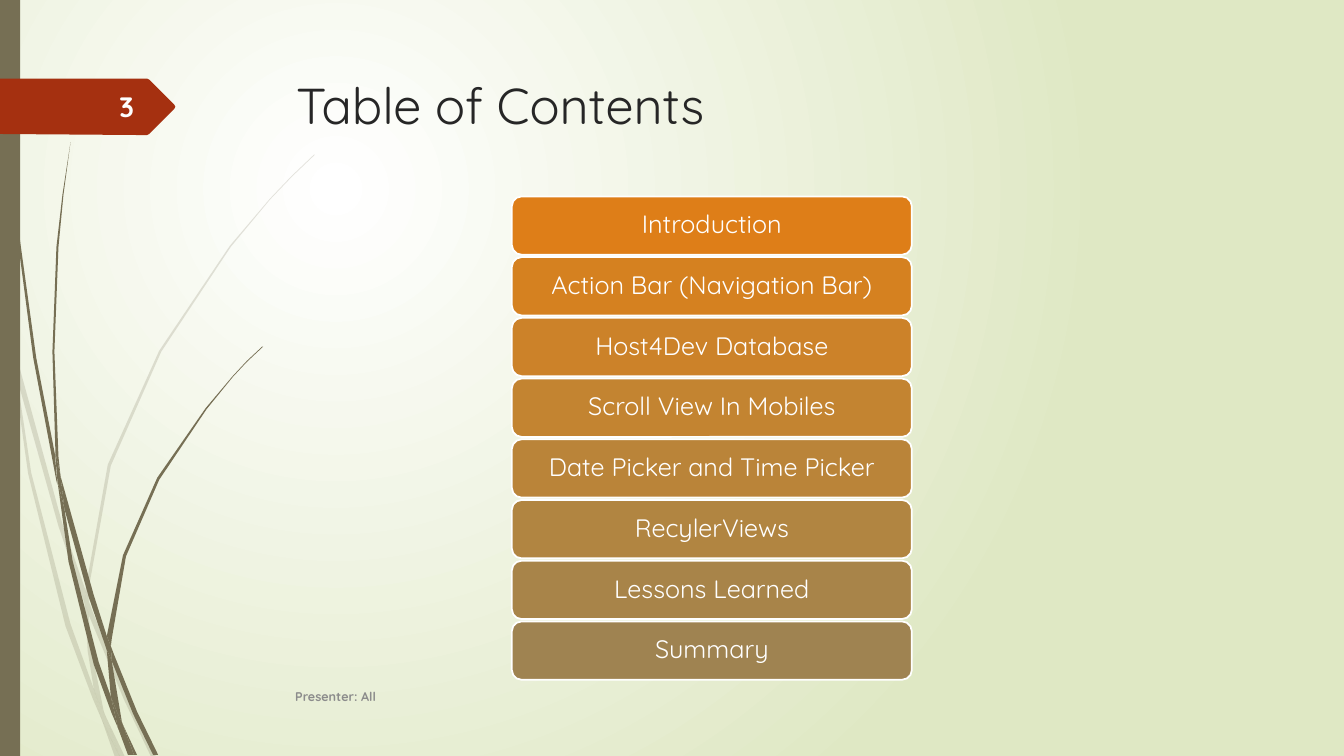
from dataclasses import dataclass

from lxml.etree import SubElement
from pptx import Presentation
from pptx.dml.color import RGBColor
from pptx.enum.shapes import MSO_SHAPE as Shape
from pptx.enum.text import MSO_ANCHOR as Anchor, MSO_AUTO_SIZE as AutoSize, PP_ALIGN as Align
from pptx.oxml.ns import qn
from pptx.util import Cm, Pt

FONT = "Quicksand"
WHITE = RGBColor(0xFF, 0xFF, 0xFF)
PALE_GREEN = RGBColor(0xDF, 0xE8, 0xC4)
OLIVE = RGBColor(0x76, 0x6F, 0x54)
RED = RGBColor(0xA5, 0x30, 0x10)
INK = RGBColor(0x26, 0x26, 0x26)
GREY = RGBColor(0x8C, 0x8C, 0x8C)
NUMBER_WHITE = RGBColor(0xFE, 0xFF, 0xFF)

OUTLINE_UNIT = Cm(0.0254)  # outline points are hundredths of an inch
MENU_LEFT, MENU_TOP, MENU_STEP = 12.9, 4.95, 1.53
ITEM_WIDTH, ITEM_HEIGHT = 10.08, 1.47

Outline = list[tuple[int, int]]


@dataclass
class Grass:
    opacity: int
    blades: list[Outline]


@dataclass
class MenuItem:
    label: str
    color: RGBColor


@dataclass
class Caption:
    text: str
    left: float
    top: float
    width: float
    size: int
    color: RGBColor
    align: Align


PALE_GRASS = Grass(20, [
    [(11, 350), (9, 322), (0, 282), (0, 299), (10, 344)],
    [(58, 522), (84, 599), (85, 586), (62, 520), (14, 345), (17, 376)],
    [(92, 607), (88, 596), (88, 610), (123, 694), (150, 751), (155, 751), (127, 692)],
    [(119, 751), (124, 751), (105, 711)],
    [(93, 683), (70, 619), (31, 469), (17, 376), (11, 350), (28, 470), (65, 621),
     (92, 693), (101, 714), (99, 707)],
    [(84, 599), (87, 646), (93, 683), (96, 692), (105, 711), (103, 706), (91, 646),
     (88, 610), (88, 608)],
    [(88, 584), (110, 462), (160, 349), (229, 245), (268, 198), (290, 175), (312, 154),
     (312, 153), (289, 175), (268, 197), (228, 244), (158, 348), (107, 461), (85, 584),
     (85, 586), (88, 596)],
    [(101, 714), (114, 751), (119, 751)],
    [(88, 608), (88, 610), (88, 596), (85, 586), (84, 599)],
    [(96, 692), (93, 683), (99, 707), (101, 714), (119, 751), (105, 711)],
])

DARK_GRASS = Grass(100, [
    [(7, 110), (17, 233), (33, 355), (56, 477), (57, 481), (55, 457), (55, 453), (36, 355),
     (19, 232), (8, 109), (5, 48), (4, 0), (3, 0), (4, 48)],
    [(88, 592), (106, 645), (106, 633), (106, 631), (93, 590), (60, 472), (64, 505)],
    [(113, 649), (110, 641), (111, 656), (132, 708), (152, 749), (157, 749), (136, 706)],
    [(110, 691), (98, 657), (72, 556), (64, 505), (57, 477), (68, 557), (93, 659),
     (111, 708), (117, 722), (116, 717)],
    [(60, 472), (58, 453), (54, 349), (58, 245), (63, 193), (70, 141), (62, 193), (56, 245),
     (52, 349), (55, 449)],
    [(133, 749), (136, 749), (122, 719)],
    [(57, 477), (64, 505), (60, 472), (55, 449), (55, 453)],
    [(111, 633), (125, 552), (158, 476), (205, 406), (231, 374), (245, 359), (261, 344),
     (260, 344), (245, 358), (231, 373), (204, 405), (156, 474), (122, 551), (106, 631),
     (110, 641)],
    [(117, 722), (127, 749), (131, 749)],
    [(106, 645), (110, 691), (116, 706), (122, 719), (121, 716), (111, 656), (109, 651)],
    [(106, 645), (109, 651), (111, 656), (110, 641), (106, 631), (106, 633)],
    [(116, 706), (110, 691), (116, 717), (117, 722), (130, 749), (133, 749), (122, 719)],
])

NUMBER_TAG: Outline = [(173, 108), (148, 133), (146, 134), (136, 134), (0, 133), (0, 78),
                       (146, 78), (148, 79), (173, 104), (174, 106)]

MENU = [
    MenuItem("Introduction", RGBColor(0xDE, 0x7E, 0x18)),
    MenuItem("Action Bar (Navigation Bar)", RGBColor(0xD5, 0x81, 0x20)),
    MenuItem("Host4Dev Database", RGBColor(0xCC, 0x82, 0x29)),
    MenuItem("Scroll View In Mobiles", RGBColor(0xC3, 0x84, 0x31)),
    MenuItem("Date Picker and Time Picker", RGBColor(0xBA, 0x84, 0x39)),
    MenuItem("RecylerViews", RGBColor(0xB1, 0x85, 0x41)),
    MenuItem("Lessons Learned", RGBColor(0xA8, 0x84, 0x49)),
    MenuItem("Summary", RGBColor(0x9F, 0x83, 0x51)),
]

CAPTIONS = [
    Caption("Presenter: All", 7.19, 17.04, 21.16, 9, GREY, Align.LEFT),
    Caption("3", 1.47, 2.18, 2.16, 20, NUMBER_WHITE, Align.RIGHT),
]


def paint_background(page) -> None:
    fill = page.background.fill
    fill.gradient()
    for stop, color in zip(fill.gradient_stops, (WHITE, PALE_GREEN)):
        stop.color.rgb = color
    # Radial gradient
    gradient = page.element.find(".//" + qn("a:gradFill"))
    gradient.remove(gradient.find(qn("a:lin")))
    circle = SubElement(gradient, qn("a:path"), path="circle")
    SubElement(circle, qn("a:fillToRect"), l="50000", t="50000", r="100000", b="100000")


def paint(shape, color: RGBColor, opacity: int = 100) -> None:
    shape.shadow.inherit = False
    shape.fill.solid()
    shape.fill.fore_color.rgb = color
    shape.line.fill.background()
    if opacity < 100:
        tone = shape.element.spPr.find(".//" + qn("a:srgbClr"))
        SubElement(tone, qn("a:alpha"), val=str(opacity * 1000))


def draw_outline(shapes, points: Outline, color: RGBColor, opacity: int = 100) -> None:
    builder = shapes.build_freeform(*points[0], scale=OUTLINE_UNIT)
    builder.add_line_segments(points[1:], close=True)
    paint(builder.convert_to_shape(), color, opacity)


def write(frame, text: str, size: int, color: RGBColor, align: Align,
          anchor: Anchor = Anchor.MIDDLE, bold: bool = False):
    frame.text = text
    frame.word_wrap = True
    frame.auto_size = AutoSize.NONE
    frame.vertical_anchor = anchor
    para = frame.paragraphs[0]
    para.alignment = align
    para.font.name, para.font.size, para.font.bold = FONT, Pt(size), bold
    para.font.color.rgb = color
    return para


def draw_menu_item(page, item: MenuItem, row: int) -> None:
    box = page.shapes.add_shape(Shape.ROUNDED_RECTANGLE, Cm(MENU_LEFT),
                                Cm(MENU_TOP + row * MENU_STEP), Cm(ITEM_WIDTH), Cm(ITEM_HEIGHT))
    paint(box, item.color)
    box.line.color.rgb = WHITE
    box.line.width = Pt(1.25)
    frame = box.text_frame
    frame.margin_left = frame.margin_right = Cm(0.18)
    frame.margin_top = frame.margin_bottom = Cm(0.1)
    write(frame, item.label, 18, WHITE, Align.CENTER).line_spacing = 0.9


def draw_caption(page, caption: Caption) -> None:
    box = page.shapes.add_textbox(Cm(caption.left), Cm(caption.top), Cm(caption.width), Cm(1.02))
    write(box.text_frame, caption.text, caption.size, caption.color, caption.align, bold=True)


def main() -> None:
    deck = Presentation()
    deck.slide_width, deck.slide_height = Cm(33.87), Cm(19.05)
    page = deck.slides.add_slide(deck.slide_layouts[5])
    paint_background(page)

    # Grass, side stripe and number tag
    for grass in (PALE_GRASS, DARK_GRASS):
        group = page.shapes.add_group_shape()
        for blade in grass.blades:
            draw_outline(group.shapes, blade, OLIVE, grass.opacity)
    stripe = page.shapes.add_shape(Shape.RECTANGLE, 0, 0, Cm(0.51), deck.slide_height)
    paint(stripe, OLIVE)
    draw_outline(page.shapes, NUMBER_TAG, RED)

    # Title
    title = page.shapes.title
    title.left, title.top, title.width, title.height = Cm(7.21), Cm(1.73), Cm(24.77), Cm(3.56)
    write(title.text_frame, "Table of Contents", 36, INK, Align.LEFT, Anchor.TOP)

    # Contents menu
    for row, item in enumerate(MENU):
        draw_menu_item(page, item, row)

    # Footer and page number
    for caption in CAPTIONS:
        draw_caption(page, caption)

    deck.save("out.pptx")


if __name__ == "__main__":
    main()
